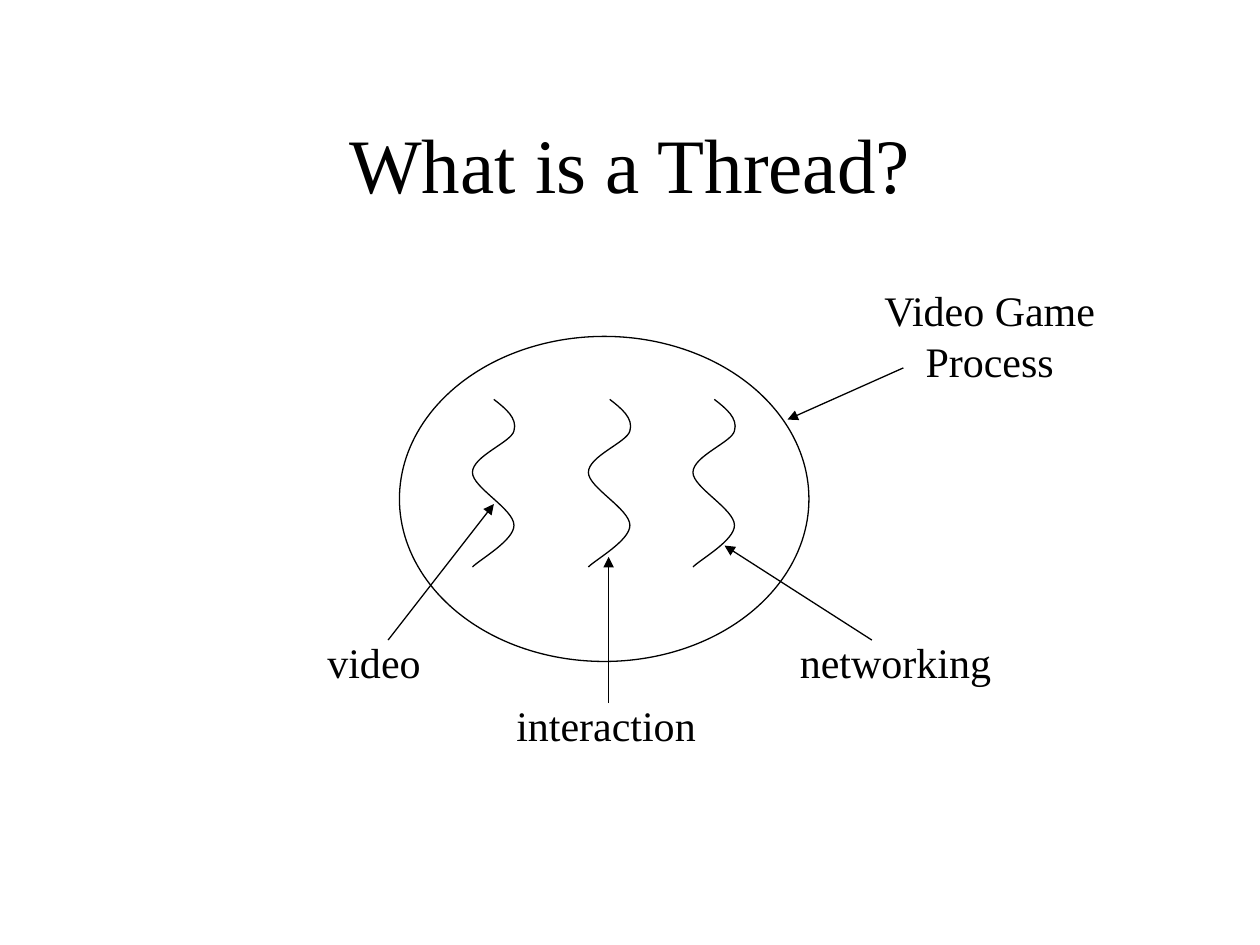
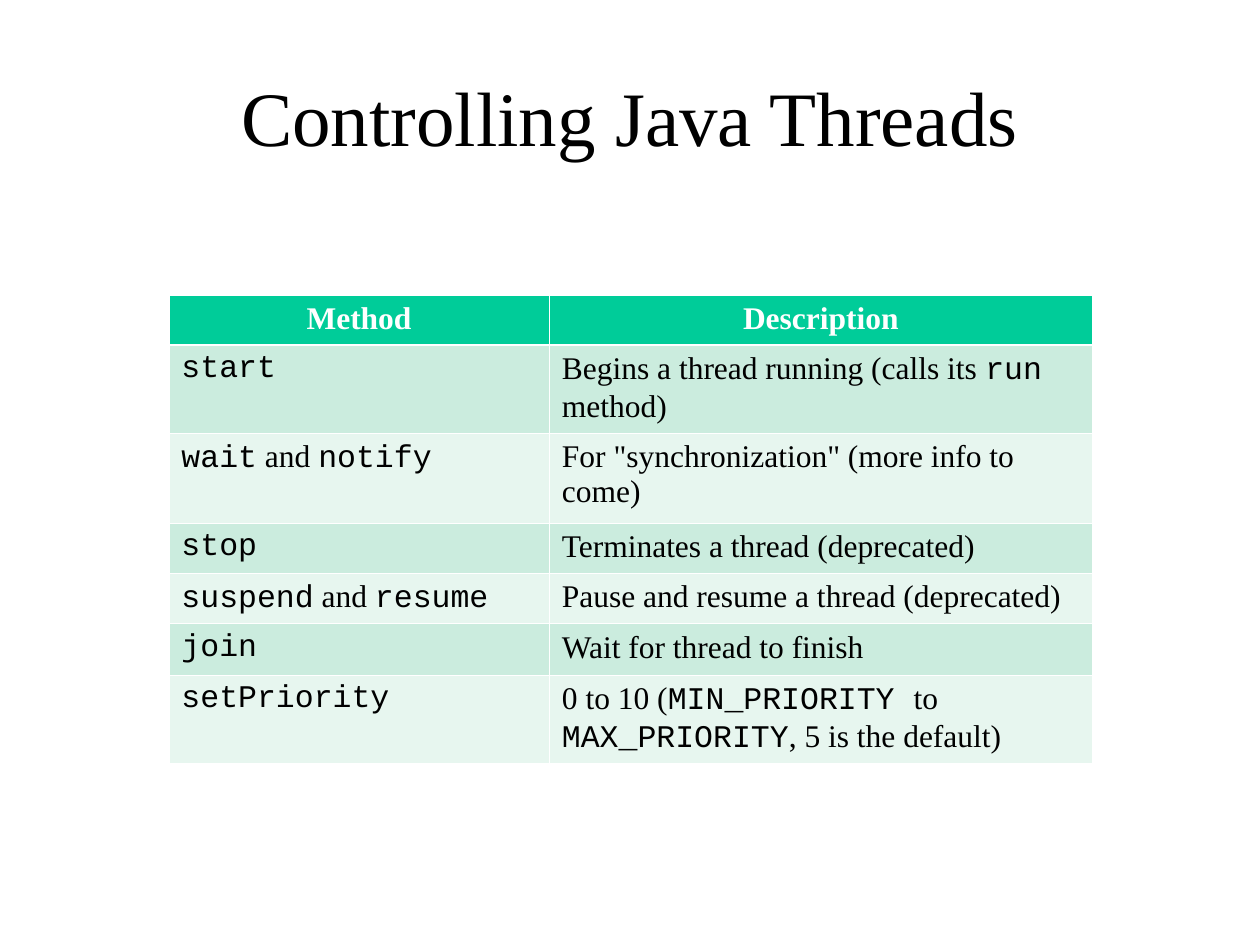
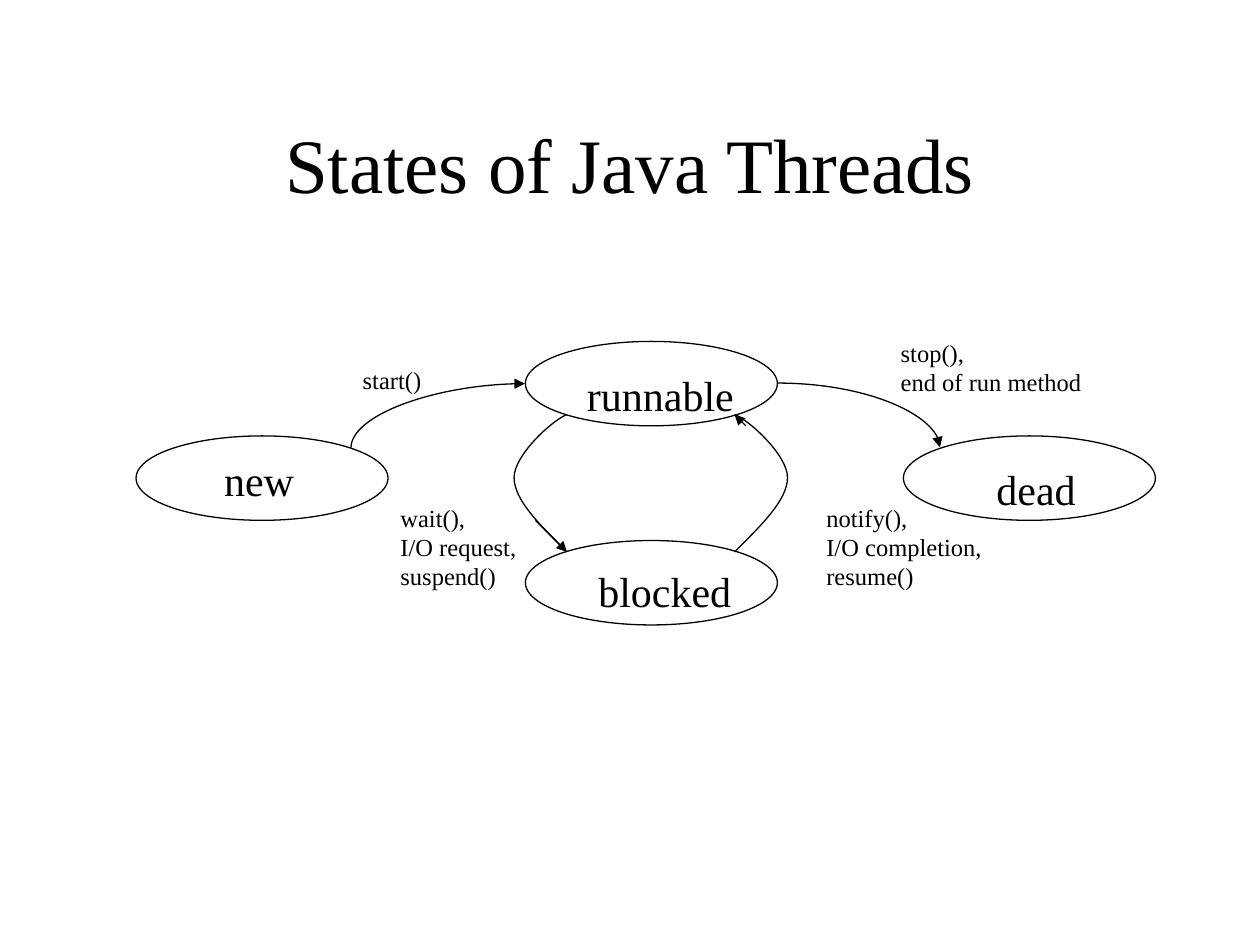
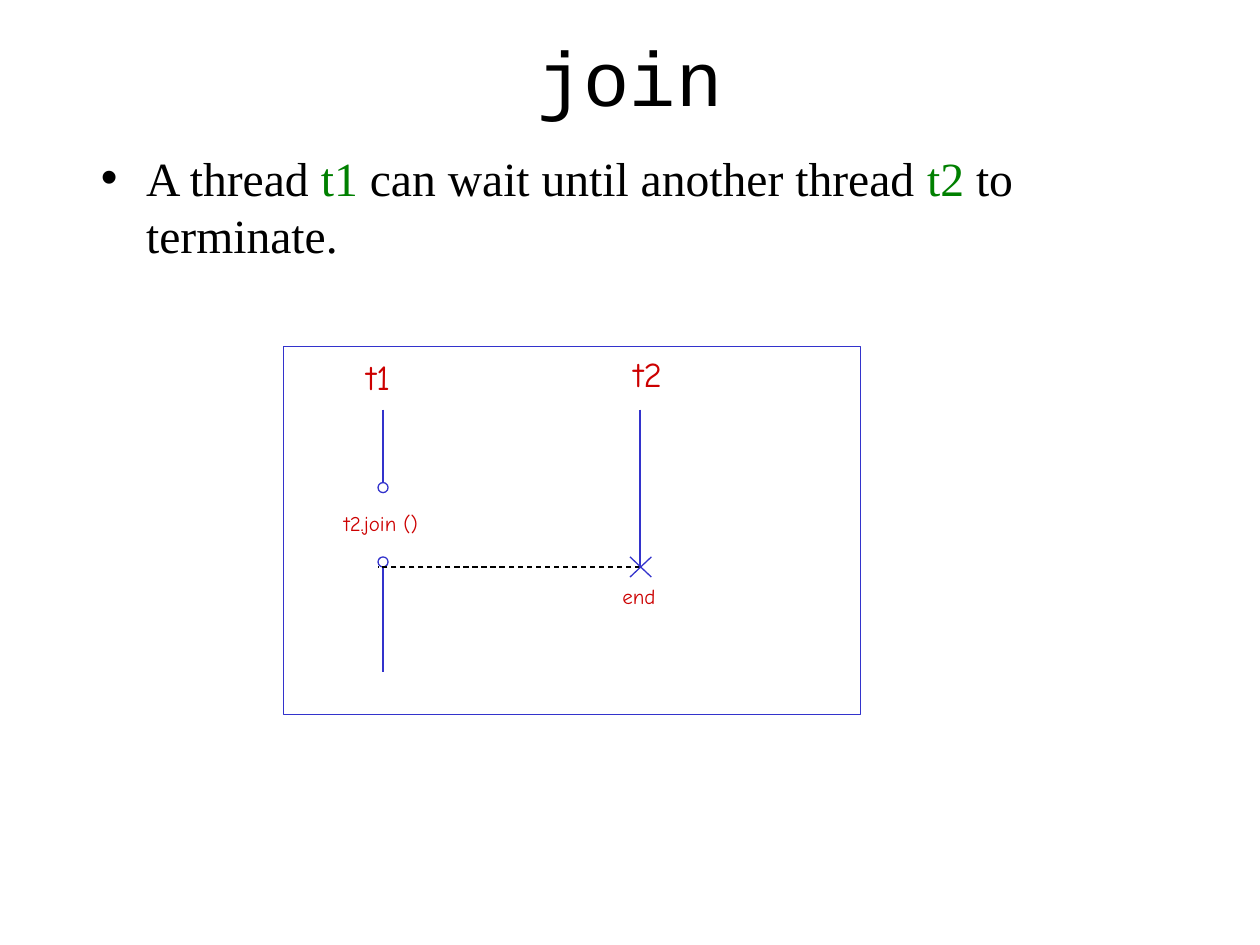
from itertools import product

from lxml.etree import Element, SubElement
from pptx import Presentation
from pptx.dml.color import RGBColor
from pptx.enum.dml import MSO_LINE
from pptx.enum.shapes import MSO_CONNECTOR, MSO_SHAPE
from pptx.enum.text import MSO_ANCHOR, MSO_AUTO_SIZE, PP_ALIGN
from pptx.oxml.ns import qn
from pptx.util import Inches, Pt

BLACK, WHITE, BLUE, RED, GREEN = "000000", "FFFFFF", "3333CC", "CC0000", "008000"
HEADER_FILL, ROW_FILLS = "00CC99", ("CBECDE", "E7F6EF")
SERIF, MONO, COMIC = "Times New Roman", "Courier New", "Comic Neue"
CODE = {"name": MONO}
WRAP_SLACK = 0.02


def write(frame, lines, accent=CODE, align=PP_ALIGN.LEFT, **look):
    for index, line in enumerate(lines):
        para = frame.add_paragraph() if index else frame.paragraphs[0]
        para.alignment = align
        for order, piece in enumerate(line.split("`")):
            if not piece:
                continue
            span = para.add_run()
            span.text = piece
            style = {"name": SERIF, "color": BLACK, **look, **(accent if order % 2 else {})}
            span.font.color.rgb = RGBColor.from_string(style.pop("color"))
            for name, value in style.items():
                setattr(span.font, name, value)


def stroke(shape, color, arrow=False, dash=None):
    if hasattr(shape, "fill"):
        shape.fill.background()
    shape.line.color.rgb = RGBColor.from_string(color)
    shape.line.width = Pt(0.75)
    if dash:
        shape.line.dash_style = dash
    if arrow:
        SubElement(shape.line._ln, qn("a:tailEnd"), type="triangle")
    SubElement(shape._element.spPr, qn("a:effectLst"))


deck = Presentation()
deck.slide_width, deck.slide_height = Inches(10), Inches(7.5)

pages = []
for layout, top, height, heading in (
    (5, 0.67, 1.25, "What is a Thread?"),
    (5, 0.5, 0.83, "Controlling Java Threads"),
    (5, 0.67, 1.25, "States of Java Threads"),
    (1, 0.25, 0.7, "`join`"),
):
    page = deck.slides.add_slide(deck.slide_layouts[layout])
    title = page.shapes.title
    title.left, title.top = Inches(0.75), Inches(top)
    title.width, title.height = Inches(8.5), Inches(height)
    title.text_frame.auto_size = MSO_AUTO_SIZE.NONE
    title.text_frame.vertical_anchor = MSO_ANCHOR.MIDDLE
    write(title.text_frame, [heading], align=PP_ALIGN.CENTER, size=Pt(44))
    pages.append(page)
thread_page, control_page, state_page, join_page = pages

for page, kind, left, top, width, height, color in (
    (thread_page, MSO_SHAPE.OVAL, 3.17, 2.67, 3.25, 2.58, BLACK),
    (state_page, MSO_SHAPE.OVAL, 1.08, 3.46, 2, 0.67, BLACK),
    (state_page, MSO_SHAPE.OVAL, 4.17, 2.71, 2, 0.67, BLACK),
    (state_page, MSO_SHAPE.OVAL, 4.17, 4.29, 2, 0.67, BLACK),
    (state_page, MSO_SHAPE.OVAL, 7.17, 3.46, 2, 0.67, BLACK),
    (join_page, MSO_SHAPE.RECTANGLE, 2.25, 2.75, 4.58, 2.92, BLUE),
    (join_page, MSO_SHAPE.OVAL, 3, 3.83, 0.08, 0.08, BLUE),
    (join_page, MSO_SHAPE.OVAL, 3, 4.42, 0.08, 0.08, BLUE),
):
    outline = page.shapes.add_shape(
        kind, Inches(left), Inches(top), Inches(width), Inches(height)
    )
    stroke(outline, color)

thread_wave = (
    (0.17, 3.17), (0.26, 3.24), (0.36, 3.32), (0.33, 3.42), (0.31, 3.51),
    (0, 3.62), (0, 3.75), (0, 3.87), (0.33, 4.04), (0.33, 4.17),
    (0.33, 4.29), (0.06, 4.44), (0, 4.5),
)
wait_arc = ((4.5, 4.38), (4.29, 4.17), (4.08, 3.97), (4.08, 3.79),
            (4.08, 3.61), (4.39, 3.33), (4.5, 3.29))
notify_arc = [(10.33 - x, y) for x, y in wait_arc]
waves = [
    (thread_page, [(left + x, y) for x, y in thread_wave]) for left in (3.75, 4.67, 5.5)
]
for page, points in waves + [(state_page, wait_arc), (state_page, notify_arc)]:
    start, *controls = [(Inches(x), Inches(y)) for x, y in points]
    builder = page.shapes.build_freeform(*start)
    builder.add_line_segments(controls, close=False)
    curve = builder.convert_to_shape()
    segments = list(curve._element.iter(qn("a:lnTo")))
    for first in range(0, len(segments), 3):
        bend = Element(qn("a:cubicBezTo"))
        segments[first].addprevious(bend)
        for segment in segments[first:first + 3]:
            bend.append(segment[0])
            segment.getparent().remove(segment)
    stroke(curve, BLACK)

for page, start_x, start_y, end_x, end_y, look in (
    (thread_page, 3.08, 5.08, 3.92, 4, (BLACK, True)),
    (thread_page, 4.83, 5.58, 4.83, 4.42, (BLACK, True)),
    (thread_page, 6.92, 5.08, 5.75, 4.33, (BLACK, True)),
    (thread_page, 7.17, 2.92, 6.25, 3.33, (BLACK, True)),
    (state_page, 4.25, 4.13, 4.5, 4.38, (BLACK, True)),
    (state_page, 5.92, 3.38, 5.83, 3.29, (BLACK, True)),
    (join_page, 3.04, 3.25, 3.04, 3.83, (BLUE,)),
    (join_page, 3.04, 4.5, 3.04, 5.33, (BLUE,)),
    (join_page, 5.08, 3.25, 5.08, 4.5, (BLUE,)),
    (join_page, 5.08, 4.5, 3, 4.5, (BLACK, False, MSO_LINE.DASH)),
    (join_page, 5.17, 4.42, 5, 4.58, (BLUE,)),
    (join_page, 5, 4.42, 5.17, 4.58, (BLUE,)),
):
    link = page.shapes.add_connector(
        MSO_CONNECTOR.STRAIGHT,
        Inches(start_x), Inches(start_y), Inches(end_x), Inches(end_y),
    )
    stroke(link, *look)

for start_x, start_y, end_x, end_y, turn in (
    (3.73, 3.99, 3.22, 2.61, 90),
    (6.17, 3.04, 7.46, 3.55, 0),
):
    link = state_page.shapes.add_connector(
        MSO_CONNECTOR.CURVE,
        Inches(start_x), Inches(start_y), Inches(end_x), Inches(end_y),
    )
    properties = link._element.spPr
    properties.find(qn("a:prstGeom")).set("prst", "curvedConnector2")
    properties.find(qn("a:xfrm")).set("rot", str(turn * 60000))
    stroke(link, BLACK, arrow=True)

state_note = {"size": Pt(14)}
name_label = {"size": Pt(24)}
thread_name = {"size": Pt(20), "name": COMIC, "color": RED}
event_note = {**thread_name, "size": Pt(12)}
for page, left, top, width, height, lines, look in (
    (thread_page, 2.5, 5, 0.94, 0.5, ["video"], name_label),
    (thread_page, 4, 5.5, 1.62, 0.5, ["interaction"], name_label),
    (thread_page, 6.25, 5, 1.72, 0.5, ["networking"], name_label),
    (thread_page, 6.9, 2.21, 1.89, 0.9, ["Video Game", "Process"],
     {**name_label, "align": PP_ALIGN.CENTER}),
    (state_page, 1.68, 3.56, 0.75, 0.5, ["new"], name_label),
    (state_page, 4.56, 2.88, 1.36, 0.5, ["runnable"], name_label),
    (state_page, 4.65, 4.44, 1.25, 0.5, ["blocked"], name_label),
    (state_page, 7.81, 3.63, 0.83, 0.5, ["dead"], name_label),
    (state_page, 2.78, 2.85, 0.66, 0.34, ["start()"], state_note),
    (state_page, 7.05, 2.63, 1.63, 0.57, ["stop(),", "end of run method"], state_note),
    (state_page, 3.08, 3.94, 1.12, 0.8, ["wait(),", "I/O request,", "suspend()"], state_note),
    (state_page, 6.46, 3.94, 1.43, 0.8, ["notify(),", "I/O completion,", "resume()"], state_note),
    (join_page, 2.81, 2.77, 0.39, 0.44, ["t1"], thread_name),
    (join_page, 4.93, 2.75, 0.42, 0.44, ["t2"], thread_name),
    (join_page, 2.63, 4, 0.79, 0.3, ["t2.join ()"], event_note),
    (join_page, 4.84, 4.58, 0.46, 0.3, ["end"], event_note),
):
    box = page.shapes.add_textbox(
        Inches(left), Inches(top), Inches(width + WRAP_SLACK), Inches(height)
    )
    box.text_frame.word_wrap = False
    box.text_frame.auto_size = MSO_AUTO_SIZE.SHAPE_TO_FIT_TEXT
    write(box.text_frame, lines, **look)

methods = (
    ("Method", "Description"),
    ("`start`", "Begins a thread running (calls its `run` method)"),
    ("`wait` and `notify`", 'For "synchronization" (more info to come)'),
    ("`stop`", "Terminates a thread (deprecated)"),
    ("`suspend` and `resume`", "Pause and resume a thread (deprecated)"),
    ("`join`", "Wait for thread to finish"),
    ("`setPriority`", "0 to 10 (`MIN_PRIORITY `to `MAX_PRIORITY`, 5 is the default)"),
)
table = control_page.shapes.add_table(
    len(methods), 2, Inches(1.34), Inches(2.34), Inches(7.33), Inches(3.72)
).table
for column, width in zip(table.columns, (3.02, 4.31)):
    column.width = Inches(width)
for row, height in zip(table.rows, (0.4, 0.7, 0.71, 0.4, 0.4, 0.41, 0.7)):
    row.height = Inches(height)
for row, column in product(range(len(methods)), range(2)):
    cell = table.cell(row, column)
    heavy_side = {0: "lnB", 1: "lnT"}.get(row)
    for side in ("lnL", "lnR", "lnT", "lnB"):
        width = Pt(1.47 if side == heavy_side else 0.45)
        border = SubElement(cell._tc.get_or_add_tcPr(), qn("a:" + side), w=str(width))
        SubElement(SubElement(border, qn("a:solidFill")), qn("a:srgbClr"), val=WHITE)
    cell.fill.solid()
    cell.fill.fore_color.rgb = RGBColor.from_string(
        ROW_FILLS[(row - 1) % 2] if row else HEADER_FILL
    )
    write(
        cell.text_frame, [methods[row][column]], size=Pt(18), bold=row == 0,
        color=BLACK if row else WHITE,
        align=PP_ALIGN.LEFT if row else PP_ALIGN.CENTER,
    )

body = join_page.placeholders[1]
body.left, body.top, body.width, body.height = Inches(0.58), Inches(1.13), Inches(8.5), Inches(1.03)
frame = body.text_frame
for name, value in {
    "auto_size": MSO_AUTO_SIZE.NONE, "vertical_anchor": MSO_ANCHOR.TOP,
    "margin_left": 0, "margin_right": 0, "margin_top": Inches(0.05), "margin_bottom": 0,
}.items():
    setattr(frame, name, value)
write(
    frame, ["A thread `t1` can wait until another thread `t2` to terminate."],
    accent={"color": GREEN}, size=Pt(27.2),
)
para = frame.paragraphs[0]
para.space_before, para.space_after = Pt(8), Pt(5)
bullet = para._p.get_or_add_pPr()
bullet.set("marL", str(Inches(0.58)))
bullet.set("indent", str(-Inches(0.36)))
SubElement(SubElement(bullet, qn("a:buClr")), qn("a:srgbClr"), val=BLACK)
SubElement(bullet, qn("a:buChar"), char="•")

deck.save("out.pptx")
